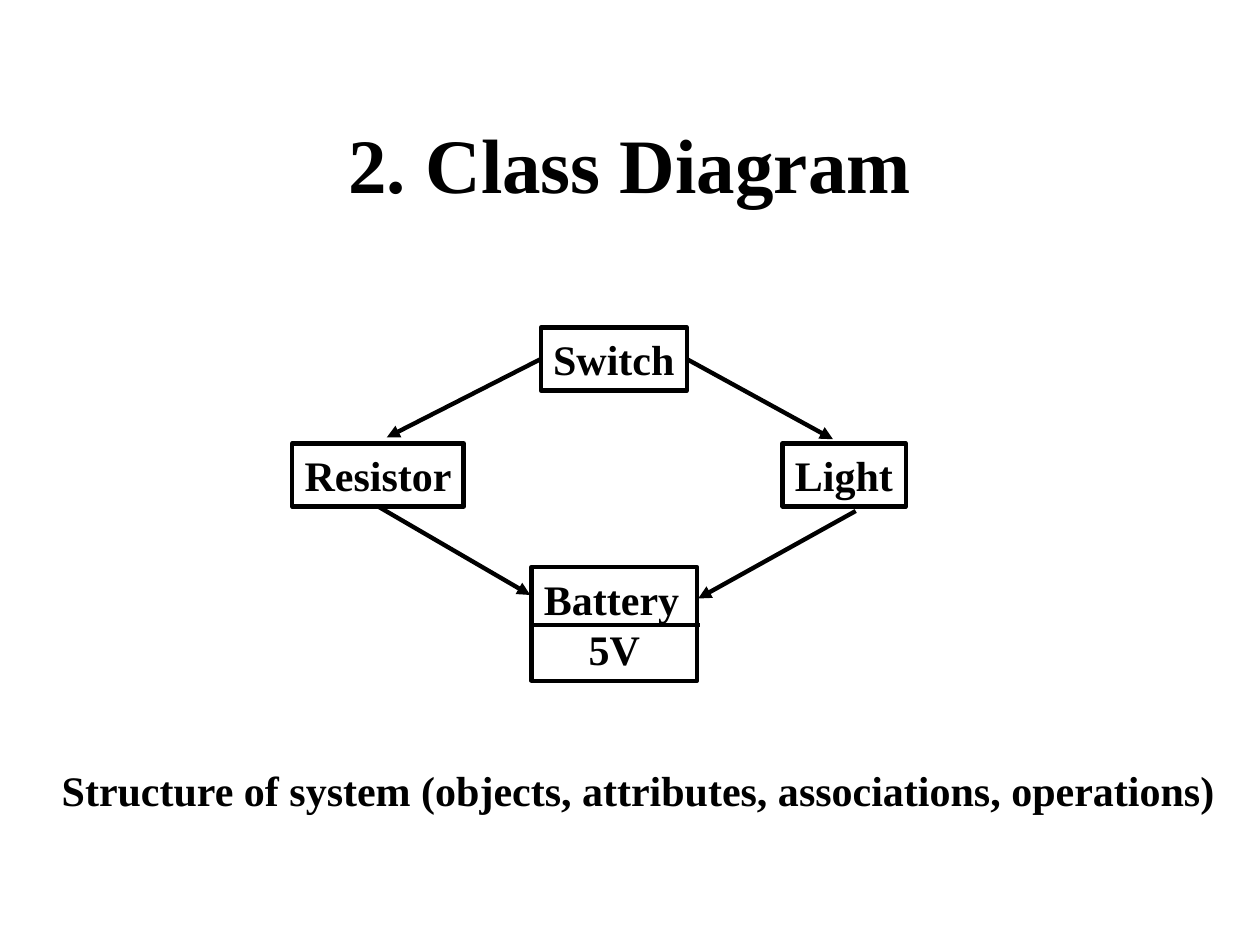
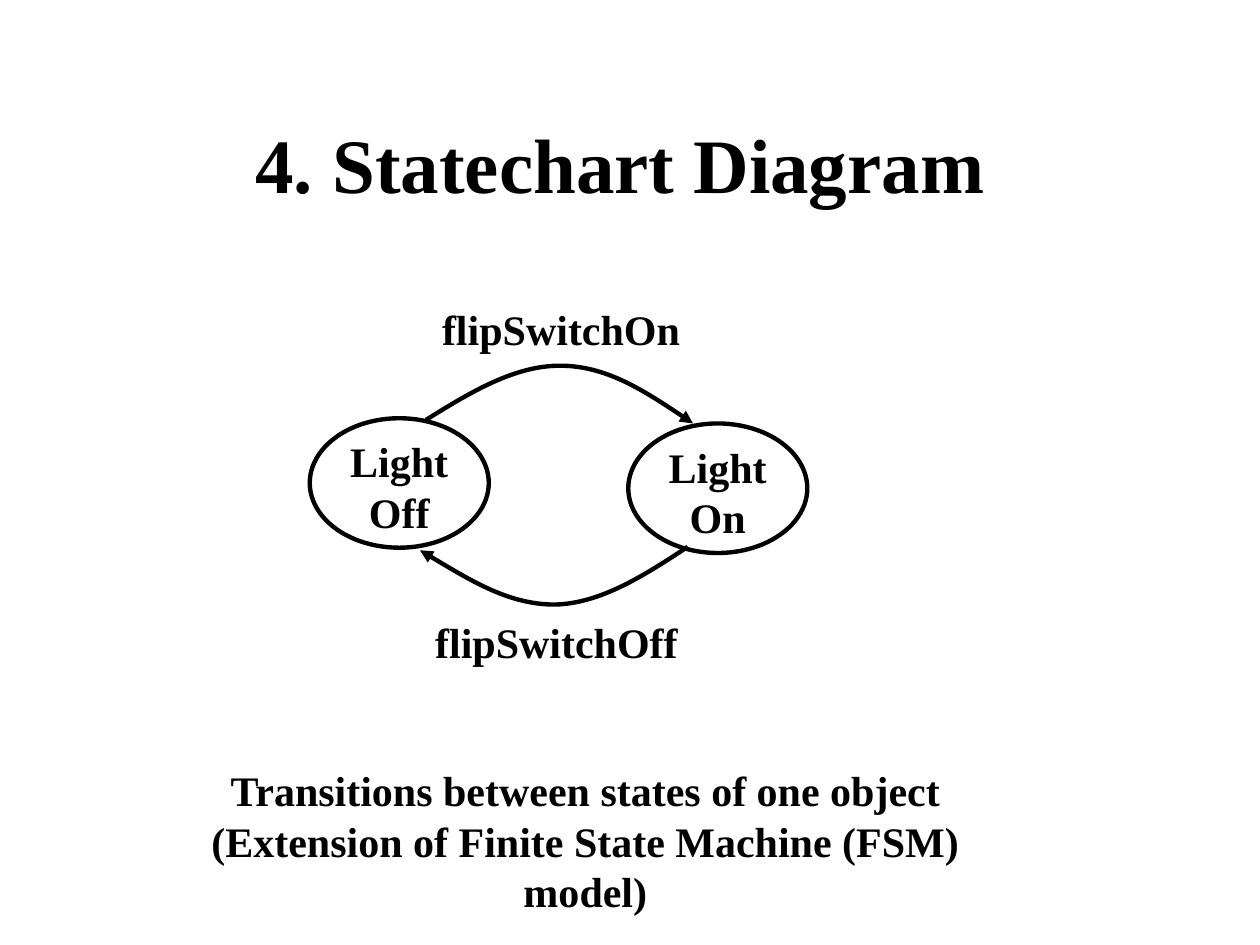
from typing import NamedTuple

from lxml import etree
from pptx import Presentation
from pptx import util as u
from pptx.dml.color import RGBColor
from pptx.enum import shapes, text
from pptx.oxml.ns import qn

BLACK = RGBColor(0x00, 0x00, 0x00)
WHITE = RGBColor(0xFF, 0xFF, 0xFF)
FONT = "Times New Roman"
BODY_SIZE = 24
TITLE_SIZE = 44
LINE_WIDTH = 2.5
LEFT, CENTER = text.PP_ALIGN.LEFT, text.PP_ALIGN.CENTER
RIGHT_SIDE, LEFT_SIDE, BOTTOM_SIDE = 3, 1, 2


class Box(NamedTuple):
    x: float
    y: float
    w: float
    h: float

    def emu(self) -> list:
        return [u.Pt(v) for v in self]


class Label(NamedTuple):
    words: str
    box: Box
    align: text.PP_ALIGN = LEFT


class Arrow(NamedTuple):
    start: tuple[float, float]
    end: tuple[float, float]
    source: str = ""  # class box whose side middle the arrow leaves
    side: int = 0


class Curve(NamedTuple):
    points: list[tuple[float, float]]  # start, then three points per cubic
    head_tag: str


# Shared drawing functions
def style_line(sp, head_tag: str = "") -> None:
    sp.line.color.rgb = BLACK
    sp.line.width = u.Pt(LINE_WIDTH)
    if head_tag:
        etree.SubElement(sp.line._get_or_add_ln(), qn(head_tag), type="triangle")


def write(sp, words: str, align: text.PP_ALIGN = LEFT, size: float = BODY_SIZE) -> None:
    tf = sp.text_frame
    tf.text = words
    tf.word_wrap = False
    tf.vertical_anchor = text.MSO_ANCHOR.TOP
    for p in tf.paragraphs:
        p.alignment = align
        for r in p.runs:
            r.font.name = FONT
            r.font.size = u.Pt(size)
            r.font.bold = True
            r.font.color.rgb = BLACK


def add_label(s, label: Label) -> None:
    sp = s.shapes.add_textbox(*label.box.emu())
    write(sp, label.words, label.align)


def add_outline(s, kind: shapes.MSO_SHAPE, box: Box):
    sp = s.shapes.add_shape(kind, *box.emu())
    sp.shadow.inherit = False
    sp.fill.background()
    style_line(sp)
    return sp


def add_line(s, start: tuple[float, float], end: tuple[float, float], head_tag: str = ""):
    cx = s.shapes.add_connector(shapes.MSO_CONNECTOR.STRAIGHT, *Box(*start, *end).emu())
    style_line(cx, head_tag)
    etree.SubElement(cx._element.spPr, qn("a:effectLst"))
    return cx


def add_curve(s, curve: Curve) -> None:
    start, *rest = [(u.Pt(x), u.Pt(y)) for x, y in curve.points]
    builder = s.shapes.build_freeform(*start)
    builder.add_line_segments(rest, close=False)
    sp = builder.convert_to_shape()
    sp.shadow.inherit = False
    sp.fill.background()
    style_line(sp, curve.head_tag)
    # Turn each run of three line points into one cubic segment
    lines = list(sp._element.iter(qn("a:lnTo")))
    for i in range(0, len(lines), 3):
        cubic = etree.Element(qn("a:cubicBezTo"))
        lines[i].addprevious(cubic)
        for line in lines[i:i + 3]:
            cubic.append(line[0])
            line.getparent().remove(line)


def add_titled_slide(prs, title: str):
    s = prs.slides.add_slide(prs.slide_layouts[6])
    s.background.fill.solid()
    s.background.fill.fore_color.rgb = WHITE
    sp = s.shapes.add_textbox(*Box(54, 48, 612, 90).emu())
    write(sp, title, CENTER, TITLE_SIZE)
    sp.text_frame.word_wrap = True
    sp.text_frame.vertical_anchor = text.MSO_ANCHOR.MIDDLE
    return s


# Class diagram
CLASS_BOXES = [
    Label("Battery\n5V", Box(303.8, 324, 94.5, 65)),
    Label("Switch", Box(309, 187.2, 83.5, 36)),
    Label("Resistor", Box(167, 253.4, 98, 36)),
    Label("Light", Box(447.2, 253.4, 70.5, 36)),
]
ASSOCIATIONS = [
    Arrow((307, 202), (221, 250), "Switch", LEFT_SIDE),
    Arrow((394, 204), (476, 251), "Switch", RIGHT_SIDE),
    Arrow((217, 292), (303, 340), "Resistor", BOTTOM_SIDE),
    Arrow((489, 292), (399, 342)),
]


def class_diagram(prs) -> None:
    s = add_titled_slide(prs, "2. Class Diagram")
    boxes = {}
    for label in CLASS_BOXES:
        sp = add_outline(s, shapes.MSO_SHAPE.RECTANGLE, label.box)
        write(sp, label.words)
        for p in sp.text_frame.paragraphs[1:]:  # attributes are centred
            p.alignment = CENTER
        boxes[label.words] = sp
    for arrow in ASSOCIATIONS:
        cx = add_line(s, arrow.start, arrow.end, "a:tailEnd")
        if arrow.source:
            cx.begin_connect(boxes[arrow.source], arrow.side)
    add_label(s, Label("Structure of system (objects, attributes, associations, operations)",
                       Box(28.2, 433.5, 673, 36)))
    add_line(s, (304, 357), (400, 357))  # name and attribute divider


# Statechart diagram
STATES = [
    Label("Light\nOff", Box(177, 239, 102.3, 74), CENTER),
    Label("Light\nOn", Box(359, 242, 102.3, 74), CENTER),
]
TRANSITIONS = [
    Curve([(243.4, 240), (269, 224), (294, 209), (320, 209),
           (346, 209), (371, 225), (396, 242)], "a:tailEnd"),
    Curve([(240, 314.5), (266, 330), (291, 345.5), (317, 345.5),
           (343, 345), (368, 329), (393, 312.5)], "a:headEnd"),
]
CAPTIONS = [
    Label("flipSwitchOn", Box(245.5, 170, 150.5, 36)),
    Label("flipSwitchOff", Box(241.6, 349, 153, 36)),
    Label("Transitions between states of one object\n"
          "(Extension of Finite State Machine (FSM) model)",
          Box(75.5, 433.5, 518, 65), CENTER),
]


def statechart_diagram(prs) -> None:
    s = add_titled_slide(prs, "4. Statechart Diagram ")
    for state in STATES:
        x, y, w, _ = state.box
        add_label(s, state._replace(box=Box(x + 16, y + 6.5, w - 32, 65)))
        add_outline(s, shapes.MSO_SHAPE.OVAL, state.box)
    for curve in TRANSITIONS:
        add_curve(s, curve)
    for caption in CAPTIONS:
        add_label(s, caption)


def main() -> None:
    prs = Presentation()
    prs.slide_width, prs.slide_height = u.Pt(720), u.Pt(540)
    class_diagram(prs)
    statechart_diagram(prs)
    prs.save("out.pptx")


if __name__ == "__main__":
    main()
